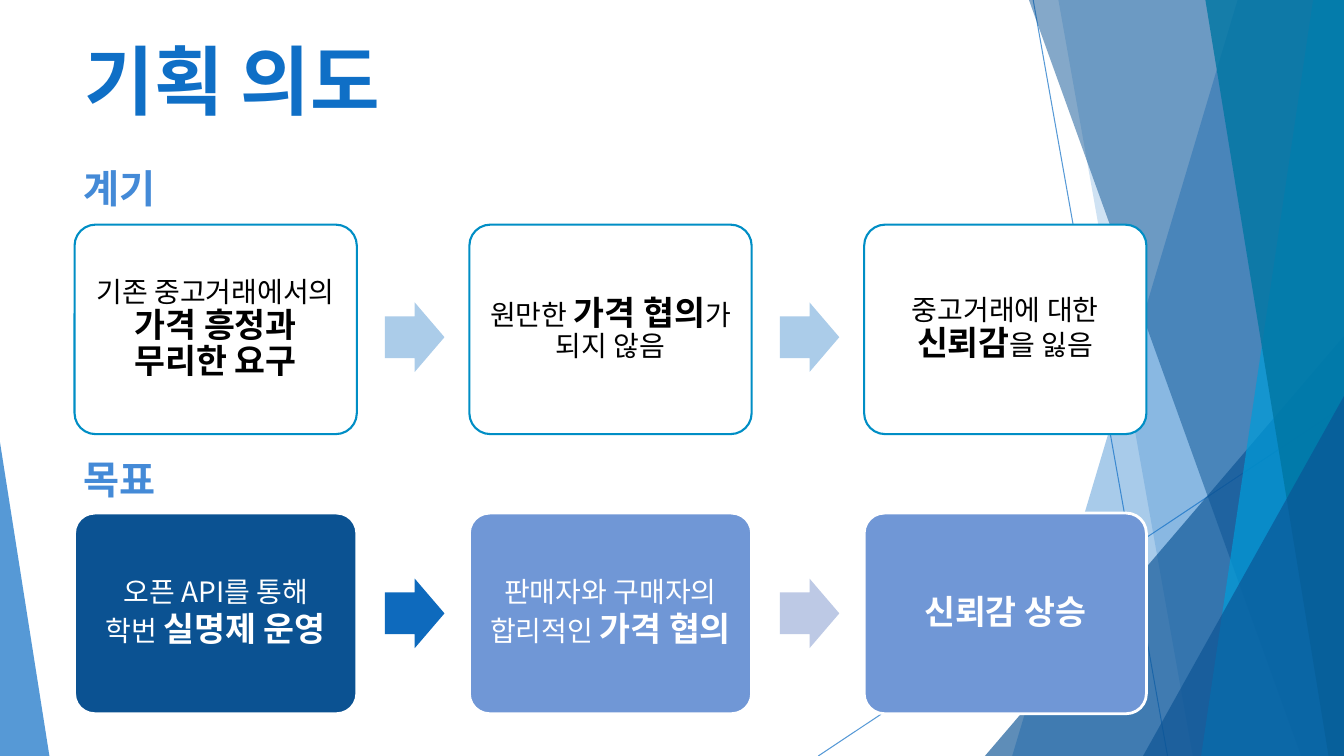
"""Build the slide on the motive and goal of the project plan."""
import pptx
import pptx.dml.color
import pptx.enum.shapes
import pptx.enum.text
import pptx.oxml.ns
import pptx.util
from lxml import etree

Pt = pptx.util.Pt
RGB = pptx.dml.color.RGBColor.from_string
SHAPES = pptx.enum.shapes.MSO_SHAPE
ALIGN = pptx.enum.text.PP_ALIGN
ANCHOR = pptx.enum.text.MSO_ANCHOR
qn = pptx.oxml.ns.qn

FONT = "Noto Sans CJK KR"
WIDTH, HEIGHT = 960, 540
COLORS = {
    "blue": "0F6FC6", "navy": "0B5394", "sky": "009DD9", "teal": "0076A3",
    "heading": "448AD7", "outline": "008EC5", "white": "FFFFFF", "black": "000000",
    "pale arrow": "ABCCE9", "deep box": "0B5292", "soft box": "7097D6",
    "deep arrow": "0E6ABD", "soft arrow": "BDC9E5",
}


def paint(shape, color, opacity=100):
    """Fill a shape without outline or shadow, with the given opacity."""
    shape.shadow.inherit = False
    shape.fill.solid()
    shape.fill.fore_color.rgb = RGB(COLORS[color])
    shape.line.fill.background()
    if opacity < 100:
        tint = shape.element.spPr.find(".//" + qn("a:srgbClr"))
        etree.SubElement(tint, qn("a:alpha")).set("val", str(opacity * 1000))


def write(para, spans, color):
    """Write (text, size, bold) spans into a paragraph."""
    para.line_spacing = 0.9
    for text, size, bold in spans:
        span = para.add_run()
        span.text = text
        span.font.size = Pt(size)
        span.font.bold = bold
        span.font.name = FONT
        span.font.color.rgb = RGB(COLORS[color])
        etree.SubElement(span.font._element, qn("a:ea")).set("typeface", FONT)


deck = pptx.Presentation()
deck.slide_width, deck.slide_height = Pt(WIDTH), Pt(HEIGHT)
page = deck.slides.add_slide(deck.slide_layouts[6])

for x1, y1, x2, y2 in [(738, 0, 834, HEIGHT), (WIDTH, 290, 584.5, HEIGHT)]:
    ray = page.shapes.add_connector(
        pptx.enum.shapes.MSO_CONNECTOR.STRAIGHT, Pt(x1), Pt(y1), Pt(x2), Pt(y2))
    ray.line.color.rgb = RGB(COLORS["blue"])
    ray.line.width = Pt(0.75)
    tint = ray.element.spPr.find(".//" + qn("a:srgbClr"))
    etree.SubElement(tint, qn("a:alpha")).set("val", "70000")
    etree.SubElement(ray.element.spPr, qn("a:effectLst"))

facets = [
    ("band", 884, 723, "blue", 36),
    ("band", 756, 852, "blue", 20),
    ("triangle", 703.5, 240, "navy", 66),
    ("band", 735, 929.5, "navy", 50),
    ("band", 938, 858, "sky", 70),
    ("band", 861, 949, "teal", 80),
    ("triangle", 816.5, 283, "navy", 66),
]
for kind, first, second, color, opacity in facets:
    if kind == "band":
        builder = page.shapes.build_freeform(Pt(first), 0)
        builder.add_line_segments([
            (Pt(WIDTH), 0), (Pt(WIDTH), Pt(HEIGHT)), (Pt(second), Pt(HEIGHT))])
        facet = builder.convert_to_shape()
    else:
        facet = page.shapes.add_shape(
            SHAPES.ISOSCELES_TRIANGLE, Pt(first), Pt(second),
            Pt(WIDTH - first), Pt(HEIGHT - second))
        facet.adjustments[0] = 1
    paint(facet, color, opacity)

corner = page.shapes.add_shape(
    SHAPES.ISOSCELES_TRIANGLE, 0, Pt(316), Pt(35.3), Pt(HEIGHT - 316))
corner.adjustments[0] = 0
paint(corner, "blue", 70)

headings = [
    ("기획 의도", 53.3, 28, 677, 104, 54, "blue"),
    ("계기", 52.6, 117.4, 135, 104, 28, "heading"),
    ("목표", 52.6, 325.4, 152, 45, 28, "heading"),
]
for text, left, top, width, height, size, color in headings:
    box = page.shapes.add_textbox(Pt(left), Pt(top), Pt(width), Pt(height))
    box.text_frame.word_wrap = True
    write(box.text_frame.paragraphs[0], [(text, size, True)], color)

STEP, BOX_LEFT, BOX_WIDTH = 282, 53.3, 201.6
ARROW_LEFT, ARROW_WIDTH, ARROW_HEIGHT = 275, 42.5, 49.7
rows = [
    (160.5, 149.6, 216, "outline", 1.5, "black", [
        ("white", "pale arrow",
         [[("기존 중고거래에서의 ", 20, False), ("가격 흥정과 무리한 요구", 24, True)]]),
        ("white", "pale arrow",
         [[("원만한 ", 20, False), ("가격 협의", 24, True), ("가 되지 않음", 20, False)]]),
        ("white", None,
         [[("중고거래에 대한 ", 20, False), ("신뢰감", 24, True), ("을 잃음", 20, False)]]),
    ]),
    (366.5, 143.3, 413.3, "white", 2, "white", [
        ("deep box", "deep arrow",
         [[("오픈 API를 통해", 20, False)],
          [("학번 ", 20, False), ("실명제 운영", 24, True)]]),
        ("soft box", "soft arrow",
         [[("판매자와 구매자의", 20, False)],
          [("합리적인 ", 20, False), ("가격 협의", 24, True)]]),
        ("soft box", None, [[("신뢰감 상승", 24, True)]]),
    ]),
]
for top, height, arrow_top, outline, weight, ink, steps in rows:
    for column, (fill, arrow_color, paragraphs) in enumerate(steps):
        box = page.shapes.add_shape(
            SHAPES.ROUNDED_RECTANGLE, Pt(BOX_LEFT + column * STEP), Pt(top),
            Pt(BOX_WIDTH), Pt(height))
        box.adjustments[0] = 0.1
        paint(box, fill)
        box.line.color.rgb = RGB(COLORS[outline])
        box.line.width = Pt(weight)
        frame = box.text_frame
        frame.word_wrap = True
        frame.vertical_anchor = ANCHOR.MIDDLE
        frame.margin_left = frame.margin_right = Pt(6)
        for number, spans in enumerate(paragraphs):
            para = frame.add_paragraph() if number else frame.paragraphs[0]
            para.alignment = ALIGN.CENTER
            if number:
                para.space_before = Pt(3)
            write(para, spans, ink)
        if arrow_color:
            arrow = page.shapes.add_shape(
                SHAPES.RIGHT_ARROW, Pt(ARROW_LEFT + column * STEP), Pt(arrow_top),
                Pt(ARROW_WIDTH), Pt(ARROW_HEIGHT))
            arrow.adjustments[0] = 0.6
            paint(arrow, arrow_color)

deck.save("out.pptx")
